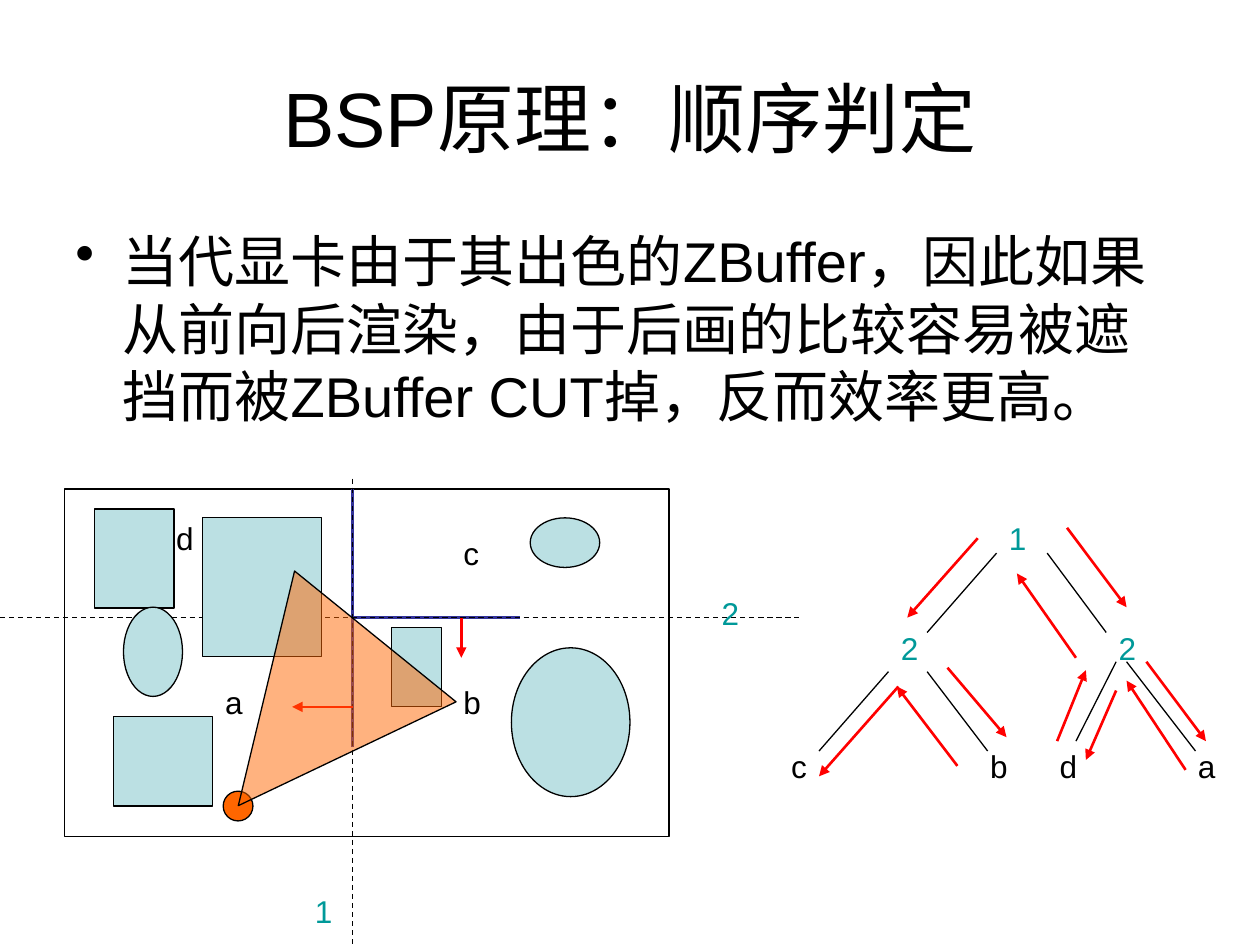
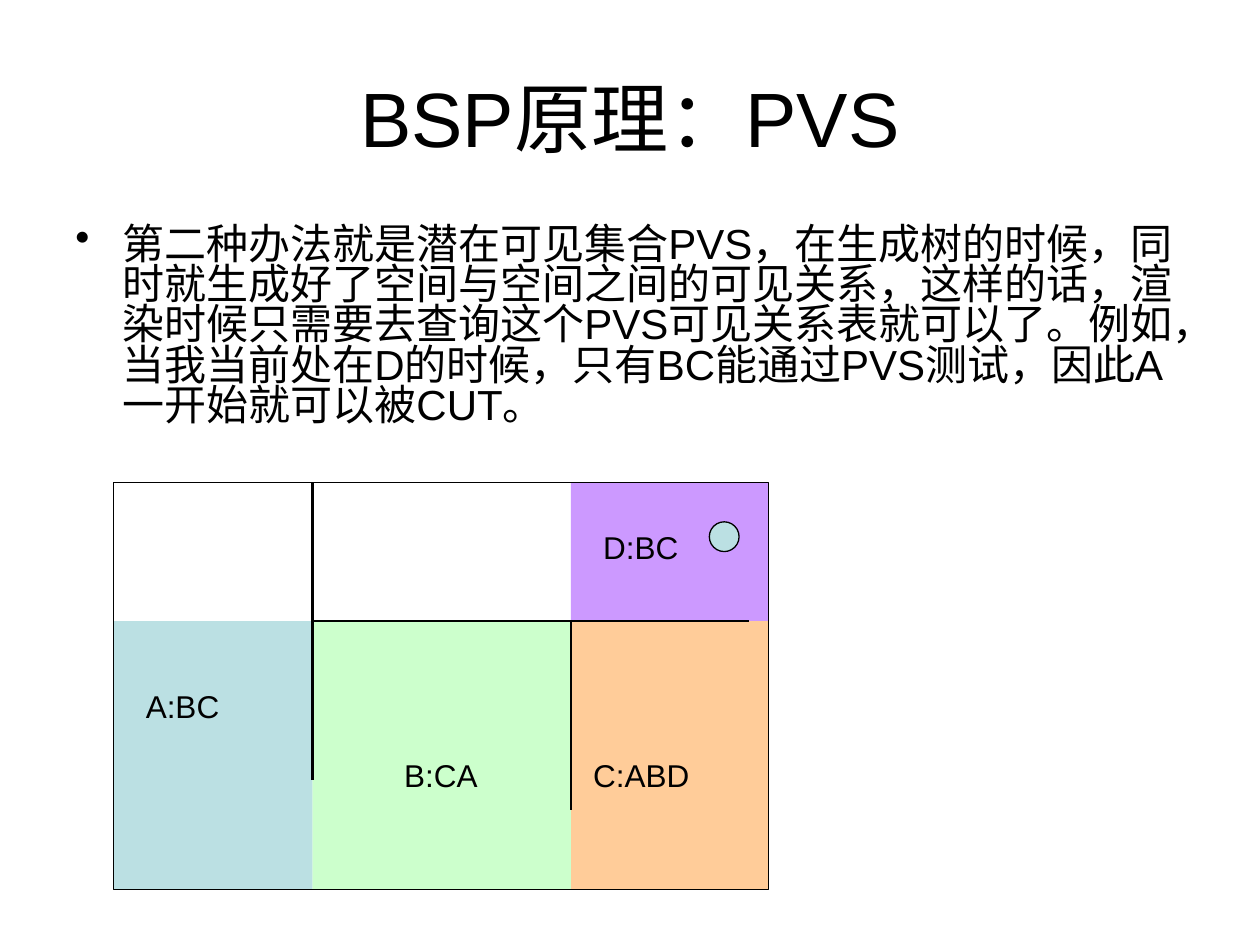
import lxml.etree
import pptx
import pptx.dml.color
import pptx.enum.dml
import pptx.enum.shapes
import pptx.enum.text
import pptx.oxml.ns
import pptx.util

Cm = pptx.util.Cm
Pt = pptx.util.Pt
qn = pptx.oxml.ns.qn
SHAPES = pptx.enum.shapes.MSO_SHAPE
ALIGN = pptx.enum.text.PP_ALIGN
ANCHOR = pptx.enum.text.MSO_ANCHOR

COLORS = {
    "ink": "000000",
    "plane": "009999",
    "wall": "333399",
    "arrow": "FF0000",
    "view": "FF6600",
    "aqua": "BBE0E3",
    "violet": "CC99FF",
    "peach": "FFCC99",
    "mint": "CCFFCC",
}
FONT = "Arial"
THIN, THICK = 0.75, 1.5


def rgb(name):
    return pptx.dml.color.RGBColor.from_string(COLORS[name])


def write_text(frame, text, size=18, color="ink", align=ALIGN.LEFT,
               anchor=ANCHOR.TOP, before=0, spacing=None, bullet=None):
    frame.word_wrap = True
    frame.vertical_anchor = anchor
    paragraph = frame.paragraphs[0]
    paragraph.alignment = align
    paragraph.space_before = Pt(before)
    if spacing:
        paragraph.line_spacing = spacing
    if bullet:
        properties = paragraph._p.get_or_add_pPr()
        properties.set("marL", str(Cm(0.95)))
        properties.set("indent", str(-Cm(0.95)))
        lxml.etree.SubElement(properties, qn("a:buChar")).set("char", bullet)
    run = paragraph.add_run()
    run.text = text
    run.font.size = Pt(size)
    run.font.name = FONT
    run.font.color.rgb = rgb(color)


class Deck:
    """Holds the shared style and the slide being drawn."""

    def __init__(self):
        self.presentation = pptx.Presentation()
        self.presentation.slide_width = Cm(25.4)
        self.presentation.slide_height = Cm(19.05)
        self.slide = None

    def new_slide(self):
        self.slide = self.presentation.slides.add_slide(self.presentation.slide_layouts[6])

    def text(self, text, left, top, width, height, **text_format):
        box = self.slide.shapes.add_textbox(Cm(left), Cm(top), Cm(width), Cm(height))
        write_text(box.text_frame, text, **text_format)

    def title(self, text):
        self.text(text, 1.27, 0.76, 22.86, 3.18, size=44,
                  align=ALIGN.CENTER, anchor=ANCHOR.MIDDLE)

    def body(self, text, height, **text_format):
        self.text(text, 1.27, 4.45, 22.86, height, bullet="•", **text_format)

    def label(self, text, left, top, width=1, color="ink"):
        self.text(text, left, top, width, 1.02, color=color, before=11.2)

    def shape(self, kind, left, top, width, height, fill=None, line="ink",
              rotation=0, opacity=None):
        shape = self.slide.shapes.add_shape(kind, Cm(left), Cm(top), Cm(width), Cm(height))
        shape.shadow.inherit = False
        shape.rotation = rotation
        if fill:
            shape.fill.solid()
            shape.fill.fore_color.rgb = rgb(fill)
        else:
            shape.fill.background()
        if opacity:
            color = shape._element.spPr.find(qn("a:solidFill"))[0]
            lxml.etree.SubElement(color, qn("a:alpha")).set("val", str(opacity * 1000))
        if line:
            shape.line.color.rgb = rgb(line)
            shape.line.width = Pt(THIN)
        else:
            shape.line.fill.background()

    def line(self, x1, y1, x2, y2, color="ink", width=THIN, dashed=False, arrow=False):
        connector = self.slide.shapes.add_connector(
            pptx.enum.shapes.MSO_CONNECTOR.STRAIGHT, Cm(x1), Cm(y1), Cm(x2), Cm(y2))
        connector.line.color.rgb = rgb(color)
        connector.line.width = Pt(width)
        if dashed:
            connector.line.dash_style = pptx.enum.dml.MSO_LINE.DASH
        if arrow:
            outline = connector.line._get_or_add_ln()
            lxml.etree.SubElement(outline, qn("a:tailEnd")).set("type", "triangle")
        lxml.etree.SubElement(connector._element.spPr, qn("a:effectLst"))

    def arrow(self, *ends):
        self.line(*ends, color="arrow", width=THICK, arrow=True)


def draw_room(deck):
    split_x, split_y = 7.11, 12.45
    deck.shape(SHAPES.OVAL, 4.5, 15.95, 0.6, 0.6, fill="view")
    deck.shape(SHAPES.RECTANGLE, 1.3, 9.86, 12.19, 7.01)
    deck.line(split_x, 9.86, split_x, 15.06, color="wall", width=THICK)
    deck.line(split_x, 9.65, split_x, 19.05, dashed=True)
    deck.line(split_x, split_y, 10.49, split_y, color="wall", width=THICK)
    deck.line(0, split_y, 16.1, split_y, dashed=True)
    obstacles = [
        (SHAPES.RECTANGLE, 1.91, 10.26, 1.6, 2),
        (SHAPES.RECTANGLE, 4.09, 10.44, 2.39, 2.79),
        (SHAPES.RECTANGLE, 2.29, 14.45, 2, 1.8),
        (SHAPES.RECTANGLE, 7.9, 12.65, 1, 1.6),
        (SHAPES.OVAL, 2.49, 12.24, 1.19, 1.8),
        (SHAPES.OVAL, 10.31, 13.06, 2.39, 3),
        (SHAPES.OVAL, 10.69, 10.44, 1.4, 1),
    ]
    for obstacle in obstacles:
        deck.shape(*obstacle, fill="aqua")
    deck.arrow(split_x, 14.25, 5.89, 14.25)
    deck.arrow(9.3, split_y, 9.3, 13.26)
    for area, left, top in [("a", 4.29, 13.64), ("b", 9.09, 13.64),
                            ("c", 9.09, 10.64), ("d", 3.3, 10.34)]:
        deck.label(area, left, top)
    deck.label("1", 6.1, 17.86, color="plane")
    deck.label("2", 14.3, 11.86, color="plane")
    deck.shape(SHAPES.ISOSCELES_TRIANGLE, 4.09, 12.34, 4.19, 4.39,
               fill="view", rotation=219, opacity=50)


def draw_tree(deck):
    for node, left, top in [("1", 20.09, 10.34), ("2", 17.91, 12.55), ("2", 22.3, 12.55)]:
        deck.label(node, left, top, color="plane")
    for leaf, left in [("c", 15.7), ("b", 19.71), ("d", 21.11), ("a", 23.9)]:
        deck.label(leaf, left, 14.94)
    branches = [
        (20.09, 11.15, 18.69, 12.75),
        (21.11, 11.15, 22.3, 12.75),
        (17.91, 13.54, 16.51, 15.14),
        (18.69, 13.54, 19.91, 15.14),
        (22.5, 13.34, 21.69, 14.94),
        (22.71, 13.34, 24.1, 15.14),
    ]
    for branch in branches:
        deck.line(*branch)
    visits = [
        (19.71, 10.85, 18.29, 12.45),
        (18.11, 13.84, 16.51, 15.65),
        (19.3, 15.44, 18.08, 13.84),
        (19.1, 13.46, 20.29, 14.86),
        (21.69, 13.26, 20.5, 11.56),
        (21.51, 10.64, 22.71, 12.24),
        (23.11, 13.34, 24.31, 14.94),
        (23.9, 15.52, 22.71, 13.72),
        (22.5, 13.92, 21.89, 15.32),
        (21.31, 14.94, 21.89, 13.51),
    ]
    for visit in visits:
        deck.arrow(*visit)


def build_order_slide(deck):
    deck.new_slide()
    deck.title("BSP原理：顺序判定")
    deck.body("当代显卡由于其出色的ZBuffer，因此如果从前向后渲染，由于后画的比较容易被遮"
              "挡而被ZBuffer CUT掉，反而效率更高。", 12.57, size=32, before=8)
    draw_room(deck)
    draw_tree(deck)


def build_pvs_slide(deck):
    left, wall_b, wall_c, right = 2.29, 6.3, 11.51, 15.49
    top, middle, bottom = 9.73, 12.52, 17.93
    deck.new_slide()
    zones = [
        (wall_c, top, right, middle, "violet"),
        (wall_c, middle, right, bottom, "peach"),
        (wall_b, middle, wall_c, bottom, "mint"),
        (left, middle, wall_b, bottom, "aqua"),
    ]
    for x1, y1, x2, y2, color in zones:
        deck.shape(SHAPES.RECTANGLE, x1, y1, x2 - x1, y2 - y1, fill=color, line=None)
    deck.title("BSP原理：PVS")
    deck.body("第二种办法就是潜在可见集合PVS，在生成树的时候，同时就生成好了空间与空间之间的"
              "可见关系，这样的话，渲染时候只需要去查询这个PVS可见关系表就可以了。例如，当我"
              "当前处在D的时候，只有BC能通过PVS测试，因此A一开始就可以被CUT。",
              4.47, size=24, before=6, spacing=0.8)
    deck.shape(SHAPES.RECTANGLE, left, top, right - left, bottom - top)
    for wall in [(wall_b, top, wall_b, 15.72), (wall_b, middle, 15.09, middle),
                 (wall_c, middle, wall_c, 16.33)]:
        deck.line(*wall, width=THICK)
    for label in [("A:BC", 2.69, 13.72, 2.59), ("B:CA", 7.9, 15.11, 2.03),
                  ("C:ABD", 11.71, 15.11, 3), ("D:BC", 11.91, 10.52, 3.4)]:
        deck.label(*label)
    deck.shape(SHAPES.OVAL, 14.3, 10.52, 0.6, 0.6, fill="aqua")


def main():
    deck = Deck()
    build_order_slide(deck)
    build_pvs_slide(deck)
    deck.presentation.save("out.pptx")


if __name__ == "__main__":
    main()
